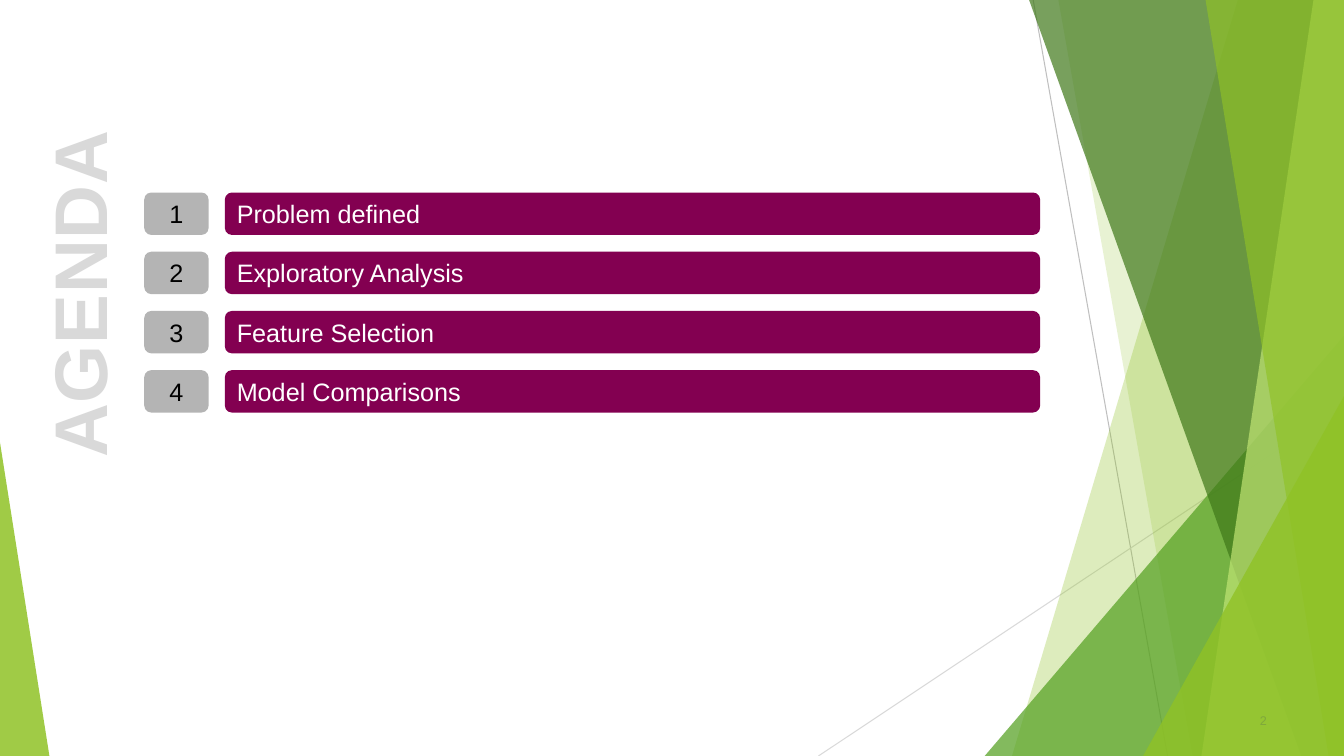
"""Builds the agenda slide with four numbered topics and green facets."""
from lxml import etree
from pptx import Presentation
from pptx.dml.color import RGBColor
from pptx.enum.shapes import MSO_CONNECTOR as CONN, MSO_SHAPE as SHAPE
from pptx.enum.text import MSO_ANCHOR as ANCHOR, PP_ALIGN as ALIGN
from pptx.oxml.ns import qn
from pptx.util import Pt

WIDTH, HEIGHT = 960, 540


def paint(color_format, color, alpha=100):
    color_format.rgb = RGBColor.from_string(color)
    if alpha < 100:
        node = color_format._xFill.find(qn("a:srgbClr"))
        etree.SubElement(node, qn("a:alpha"), val=str(alpha * 1000))


def write(sp, text, align, anchor, wrap=True, **fmt):
    tf = sp.text_frame
    tf.word_wrap, tf.vertical_anchor = wrap, anchor
    p = tf.paragraphs[0]
    p.alignment = align
    r = p.add_run()
    r.text = text
    paint_color = fmt.pop("color")
    for key, value in {"name": "Arial", **fmt}.items():
        setattr(r.font, key, value)
    r.font.color.rgb = RGBColor.from_string(paint_color)
    return r


prs = Presentation()
prs.slide_width, prs.slide_height = Pt(WIDTH), Pt(HEIGHT)
s = prs.slides.add_slide(prs.slide_layouts[6])

for x1, y1, x2, y2, color in [
    (738, 0, 834, HEIGHT, "BFBFBF"),
    (WIDTH, 290, 584.6, HEIGHT, "D9D9D9"),
]:
    line = s.shapes.add_connector(CONN.STRAIGHT, Pt(x1), Pt(y1), Pt(x2), Pt(y2))
    line.line.width = Pt(0.75)
    paint(line.line.color, color)
    etree.SubElement(line._element.spPr, qn("a:effectLst"))

facets = [
    ("band", (884.2, 722.9), "90C226", 30),
    ("band", (756, 851.8), "90C226", 20),
    ("wedge", (703.4, 239.8, 256.6, 1), "54A021", 72),
    ("band", (735.1, 929.5), "3F7819", 70),
    ("band", (938.2, 858.2), "C0E474", 70),
    ("band", (861.1, 949), "90C226", 65),
    ("wedge", (816.5, 283, 143.5, 1), "90C226", 80),
    ("wedge", (0, 316.1, 35.3, 0), "90C226", 85),
]
for kind, geometry, color, alpha in facets:
    if kind == "band":
        top_x, bottom_x = geometry
        outline = s.shapes.build_freeform(Pt(top_x), Pt(0))
        corners = [(WIDTH, 0), (WIDTH, HEIGHT), (bottom_x, HEIGHT)]
        outline.add_line_segments([(Pt(x), Pt(y)) for x, y in corners])
        sp = outline.convert_to_shape()
    else:
        left, top, width, apex = geometry
        sp = s.shapes.add_shape(SHAPE.ISOSCELES_TRIANGLE, Pt(left), Pt(top), Pt(width), Pt(HEIGHT - top))
        sp.adjustments[0] = apex
    sp.shadow.inherit = False
    sp.line.fill.background()
    sp.fill.solid()
    paint(sp.fill.fore_color, color, alpha)

title = s.shapes.add_textbox(Pt(-175), Pt(174.2), Pt(462.2), Pt(72))
title.rotation = 270
r = write(title, "AGENDA", ALIGN.CENTER, ANCHOR.TOP, size=Pt(53.3), bold=True, color="D9D9D9")
r.font._element.set("spc", "50")

topics = ["Problem defined", "Exploratory Analysis", "Feature Selection", "Model Comparisons"]
for i, topic in enumerate(topics):
    for left, width, fill, text, align, color in [
        (103, 46, "B4B4B4", str(i + 1), ALIGN.CENTER, "000000"),
        (160.6, 582.4, "830051", topic, ALIGN.LEFT, "FFFFFF"),
    ]:
        sp = s.shapes.add_shape(SHAPE.ROUNDED_RECTANGLE, Pt(left), Pt(137.5 + 42.3 * i), Pt(width), Pt(30.3))
        sp.shadow.inherit = False
        sp.line.fill.background()
        sp.fill.solid()
        paint(sp.fill.fore_color, fill)
        write(sp, text, align, ANCHOR.MIDDLE, size=Pt(18), color=color)

number = s.shapes.add_textbox(Pt(858), Pt(501), Pt(54), Pt(28))
write(number, "2", ALIGN.RIGHT, ANCHOR.MIDDLE, size=Pt(9), color="7FA83C")

prs.save("out.pptx")
